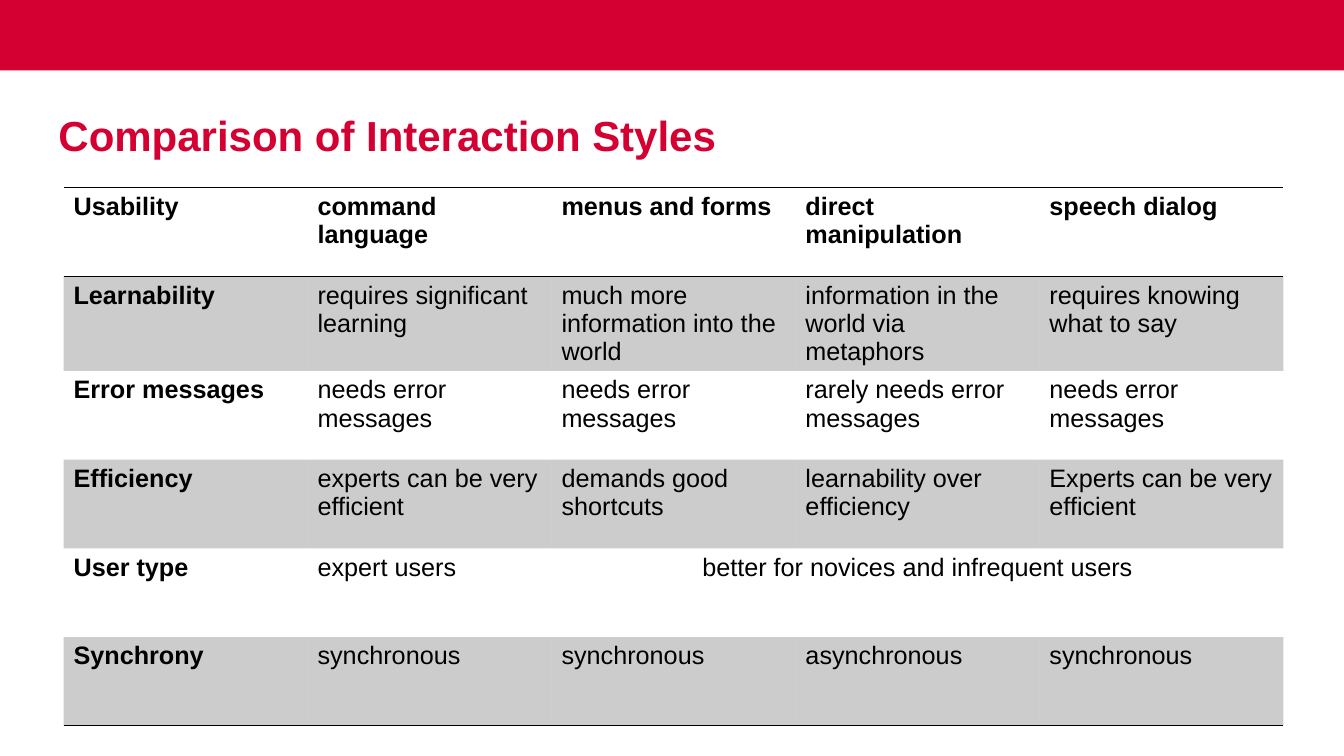
"""Build a slide that compares interaction styles in a table."""
from lxml.etree import SubElement
from pptx import Presentation
from pptx.dml.color import RGBColor
from pptx.enum.shapes import MSO_SHAPE as Shape
from pptx.enum.text import MSO_ANCHOR as Anchor, PP_ALIGN as Align
from pptx.oxml.ns import qn
from pptx.util import Pt

SCALE = 9144
RED, BLACK = "D50032", "000000"
PLAIN = "{2D5ABB26-0587-4C30-8999-92F81FD0307C}"
ROWS = [
    ["Usability", "command language", "menus and forms",
     "direct manipulation", "speech dialog"],
    ["Learnability", "requires significant learning",
     "much more information into the world",
     "information in the world via metaphors",
     "requires knowing what to say"],
    ["Error messages", "needs error messages", "needs error messages",
     "rarely needs error messages", "needs error messages"],
    ["Efficiency", "experts can be very efficient",
     "demands good shortcuts", "learnability over efficiency",
     "Experts can be very efficient"],
    ["User type", "expert users",
     "better for novices and infrequent users", "", ""],
    ["Synchrony", "synchronous", "synchronous", "asynchronous",
     "synchronous"],
]


def px(num):
    """Turn whole px into EMU."""
    return num * SCALE


def paint(color, code):
    """Return the color object of a hex string, set on a fill or font."""
    color.rgb = RGBColor.from_string(code)


def style(frame, size, code, bold, align=Align.LEFT):
    """Format the one paragraph of a text frame."""
    para = frame.paragraphs[0]
    para.alignment = align
    for run in para.runs:
        run.font.name = "Arial"
        run.font.size = Pt(size)
        run.font.bold = bold
        paint(run.font.color, code)


def place(shape, left, top, width, height):
    """Set the box of a shape."""
    shape.left, shape.top = px(left), px(top)
    shape.width, shape.height = px(width), px(height)


def add_band(slide):
    """Add the red band across the top."""
    band = slide.shapes.add_shape(Shape.RECTANGLE, 0, 0, px(1333), px(70))
    band.shadow.inherit = False
    band.fill.solid()
    paint(band.fill.fore_color, RED)
    band.line.fill.background()


def add_title(slide, text):
    """Fill and format the title placeholder."""
    title = slide.shapes.title
    place(title, 48, 99, 1238, 142)
    frame = title.text_frame
    frame.text = text
    frame.vertical_anchor = Anchor.TOP
    frame.margin_top = px(10)
    style(frame, 30, RED, True)


def rule(cell, side):
    """Draw a thin black border on one side of a cell."""
    props = cell._tc.get_or_add_tcPr()
    line = SubElement(props, qn(f"a:ln{side}"), w=str(Pt(1)))
    fill = SubElement(line, qn("a:solidFill"))
    SubElement(fill, qn("a:srgbClr"), val=BLACK)


def shade(cell):
    """Fill a cell with black at 20 percent."""
    cell.fill.solid()
    paint(cell.fill.fore_color, BLACK)
    tint = cell._tc.tcPr.find(qn("a:solidFill")).find(qn("a:srgbClr"))
    SubElement(tint, qn("a:alpha"), val="20000")


def add_grid(slide, rows):
    """Add the table with banded rows and three rules."""
    count, wide = len(rows), len(rows[0])
    grid = slide.shapes.add_table(
        count, wide, px(63), px(186), px(242 * wide), px(88 * count)).table
    grid.first_row = grid.horz_banding = False
    grid._tbl.tblPr.find(qn("a:tableStyleId")).text = PLAIN
    for row, texts in enumerate(rows):
        for col, text in enumerate(texts):
            cell = grid.cell(row, col)
            if text:
                cell.text = text
            style(cell.text_frame, 18, BLACK, row == 0 or col == 0)
            if row == 0:
                rule(cell, "T")
            if row in (0, count - 1):
                rule(cell, "B")
            if row % 2:
                shade(cell)
            else:
                cell.fill.background()
    grid.cell(4, 2).merge(grid.cell(4, 4))
    grid.cell(4, 2).text_frame.paragraphs[0].alignment = Align.CENTER


def main():
    """Build and save the slide."""
    deck = Presentation()
    deck.slide_width, deck.slide_height = px(1333), px(750)
    slide = deck.slides.add_slide(deck.slide_layouts[5])
    add_band(slide)
    add_title(slide, "Comparison of Interaction Styles")
    add_grid(slide, ROWS)
    deck.save("out.pptx")


if __name__ == "__main__":
    main()
